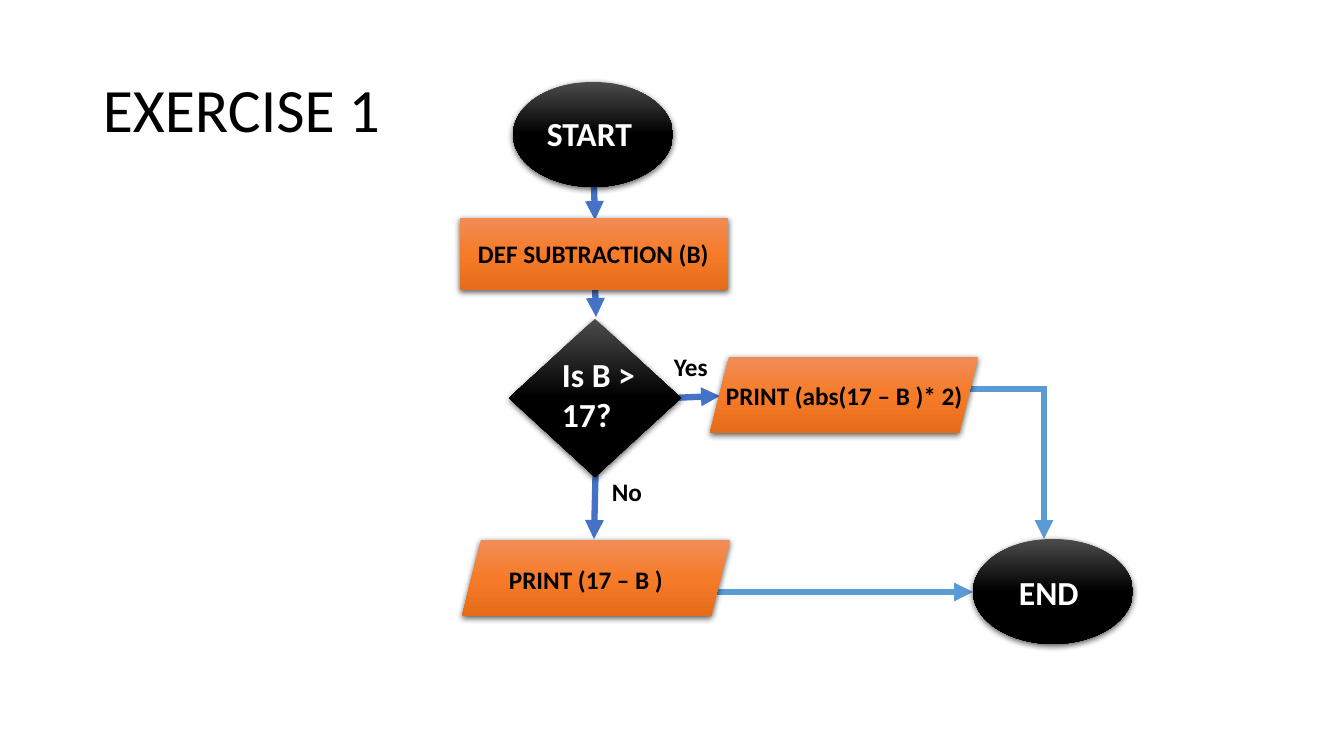
from dataclasses import dataclass
from typing import NamedTuple

import pptx
import pptx.dml.color
import pptx.enum.shapes
import pptx.enum.text
import pptx.oxml
import pptx.oxml.ns
import pptx.util

PX = 914400 / 100.8  # EMU in one pixel
NS = pptx.oxml.ns.nsdecls("a")
SHAPE = pptx.enum.shapes.MSO_SHAPE
CONNECTOR = pptx.enum.shapes.MSO_CONNECTOR


@dataclass(frozen=True)
class Theme:
    font: str = "Calibri"
    dark: tuple[str, ...] = ("4B4B4B", "000000", "000000")
    orange: tuple[str, ...] = ("F18C57", "F67B28", "E56C19")
    blue: str = "4472C4"
    light_blue: str = "5B9BD5"
    black: str = "000000"
    white: str = "FFFFFF"
    title_size: int = 44
    node_size: int = 24
    step_size: int = 18
    arrow_width: float = 4.5


class Box(NamedTuple):
    left: int
    top: int
    width: int
    height: int


class Node(NamedTuple):
    kind: SHAPE
    box: Box
    colors: tuple[str, ...]


class Arrow(NamedTuple):
    start: tuple[int, int]
    end: tuple[int, int]
    color: str
    bent: bool = False


class Label(NamedTuple):
    text: str
    box: Box
    size: int
    color: str
    bold: bool = True


THEME = Theme()
OVAL, STEP, PRINT = (160, 105), (268, 72), (268, 76)

NODES = [
    Node(SHAPE.OVAL, Box(513, 82, *OVAL), THEME.dark),
    Node(SHAPE.RECTANGLE, Box(460, 218, *STEP), THEME.orange),
    Node(SHAPE.DIAMOND, Box(509, 319, 172, 158), THEME.dark),
    Node(SHAPE.PARALLELOGRAM, Box(462, 540, *PRINT), THEME.orange),
    Node(SHAPE.PARALLELOGRAM, Box(710, 357, *PRINT), THEME.orange),
    Node(SHAPE.OVAL, Box(973, 539, *OVAL), THEME.dark),
]

ARROWS = [
    Arrow((697, 592), (973, 592), THEME.light_blue),
    Arrow((851, 389), (1044, 539), THEME.light_blue, bent=True),
    Arrow((596, 455), (594, 539), THEME.blue),
    Arrow((595, 282), (596, 317), THEME.blue),
    Arrow((672, 398), (720, 396), THEME.blue),
    Arrow((594, 185), (595, 220), THEME.blue),
]

TITLE = Label("EXERCISE 1", Box(93, 40, 1159, 146), THEME.title_size, THEME.black, bold=False)
LABELS = [
    Label("START", Box(537, 108, 117, 50), THEME.node_size, THEME.white),
    Label("DEF SUBTRACTION (B)", Box(468, 233, 266, 40), THEME.step_size, THEME.black),
    Label("Is B > 17?", Box(552, 349, 117, 92), THEME.node_size, THEME.white),
    Label("Yes", Box(664, 346, 60, 40), THEME.step_size, THEME.black),
    Label("No", Box(602, 471, 60, 40), THEME.step_size, THEME.black),
    Label("PRINT (17 – B )", Box(499, 559, 266, 40), THEME.step_size, THEME.black),
    Label("PRINT (abs(17 – B )* 2)", Box(716, 375, 262, 40), THEME.step_size, THEME.black),
    Label("END", Box(1009, 567, 134, 50), THEME.node_size, THEME.white),
]


def emu(*pixels: int) -> list[pptx.util.Emu]:
    return [pptx.util.Emu(round(n * PX)) for n in pixels]


def rgb(color: str) -> pptx.dml.color.RGBColor:
    return pptx.dml.color.RGBColor.from_string(color)


def add_node(slide, node: Node) -> None:
    sp = slide.shapes.add_shape(node.kind, *emu(*node.box))
    stops = "".join(
        f'<a:gs pos="{i * 50000}"><a:srgbClr val="{color}"/></a:gs>'
        for i, color in enumerate(node.colors)
    )
    sp_pr = sp._element.spPr
    sp_pr.append(pptx.oxml.parse_xml(
        f'<a:gradFill {NS} rotWithShape="1"><a:gsLst>{stops}</a:gsLst>'
        '<a:lin ang="5400000" scaled="0"/></a:gradFill>'))
    sp.line.fill.background()
    sp_pr.append(pptx.oxml.parse_xml(
        f'<a:effectLst {NS}><a:outerShdw blurRad="57150" dist="19050" dir="5400000" '
        f'algn="ctr" rotWithShape="0"><a:srgbClr val="{THEME.black}">'
        '<a:alpha val="63000"/></a:srgbClr></a:outerShdw></a:effectLst>'))


def add_arrow(slide, arrow: Arrow) -> None:
    kind = CONNECTOR.ELBOW if arrow.bent else CONNECTOR.STRAIGHT
    c = slide.shapes.add_connector(kind, *emu(*arrow.start, *arrow.end))
    sp_pr = c._element.spPr
    if arrow.bent:  # one corner only
        sp_pr.prstGeom.set("prst", "bentConnector2")
    c.line.color.rgb = rgb(arrow.color)
    c.line.width = pptx.util.Pt(THEME.arrow_width)
    ln = c.line._get_or_add_ln()
    ln.append(pptx.oxml.parse_xml(f'<a:miter {NS} lim="800000"/>'))
    ln.append(pptx.oxml.parse_xml(f'<a:tailEnd {NS} type="triangle"/>'))
    sp_pr.append(pptx.oxml.parse_xml(f"<a:effectLst {NS}/>"))


def add_label(slide, label: Label) -> pptx.text.text.TextFrame:
    tf = slide.shapes.add_textbox(*emu(*label.box)).text_frame
    tf.word_wrap = True
    tf.text = label.text
    font = tf.paragraphs[0].runs[0].font
    font.name, font.bold = THEME.font, label.bold
    font.size = pptx.util.Pt(label.size)
    font.color.rgb = rgb(label.color)
    return tf


prs = pptx.Presentation()
prs.slide_width, prs.slide_height = emu(1344, 756)
slide = prs.slides.add_slide(prs.slide_layouts[6])

# Title
tf = add_label(slide, TITLE)
tf.vertical_anchor = pptx.enum.text.MSO_ANCHOR.MIDDLE
tf.paragraphs[0].line_spacing = 0.9

# Flowchart: arrows lie behind the nodes, labels in front
for arrow in ARROWS:
    add_arrow(slide, arrow)
for node in NODES:
    add_node(slide, node)
for label in LABELS:
    add_label(slide, label)

prs.save("out.pptx")
